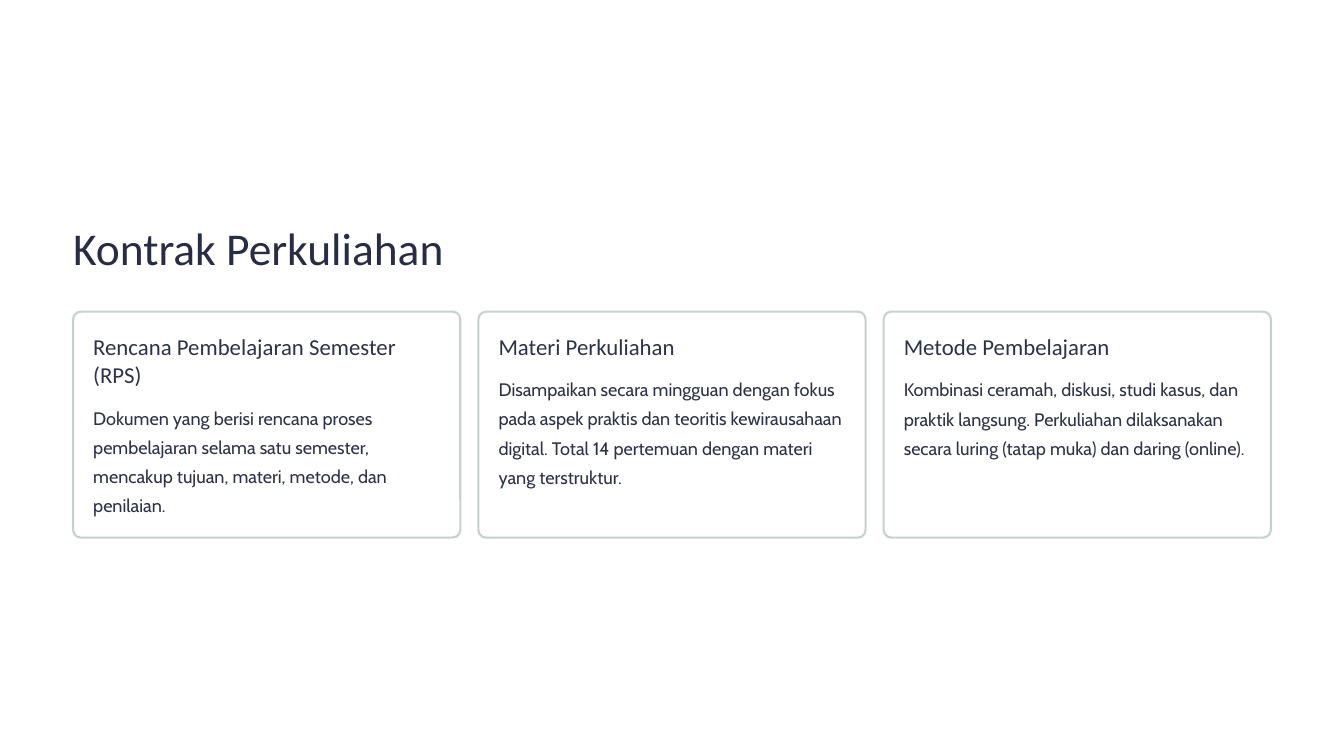
import pptx
import pptx.util
import pptx.dml.color
import pptx.enum.shapes
import pptx.enum.text

Inches, Pt = pptx.util.Inches, pptx.util.Pt

# Content: heading, heading lines, body
TITLE = "Kontrak Perkuliahan"
CARDS = [
    ("Rencana Pembelajaran Semester (RPS)", 2,
     "Dokumen yang berisi rencana proses pembelajaran selama satu semester, "
     "mencakup tujuan, materi, metode, dan penilaian."),
    ("Materi Perkuliahan", 1,
     "Disampaikan secara mingguan dengan fokus pada aspek praktis dan teoritis "
     "kewirausahaan digital. Total 14 pertemuan dengan materi yang terstruktur."),
    ("Metode Pembelajaran", 1,
     "Kombinasi ceramah, diskusi, studi kasus, dan praktik langsung. Perkuliahan "
     "dilaksanakan secara luring (tatap muka) dan daring (online)."),
]
COLORS = {"page": "FFFFFF", "title": "272D45", "text": "2C3249", "edge": "C5D2CF"}

# Layout in inches
LEFT, TOP, WIDTH, HEIGHT = 0.87, 3.71, 4.61, 2.69
STEP, PAD, LINE, GAP = 4.825, 0.24, 0.34, 0.13


def color(name):
    return pptx.dml.color.RGBColor.from_string(COLORS[name])


def add_text(slide, text, box, font, size, lead, tint, wrap=True):
    frame = slide.shapes.add_textbox(*map(Inches, box)).text_frame
    frame.margin_left = frame.margin_right = 0
    frame.margin_top = frame.margin_bottom = 0
    frame.vertical_anchor = pptx.enum.text.MSO_ANCHOR.TOP
    frame.word_wrap = wrap
    frame.text = text
    para = frame.paragraphs[0]
    para.line_spacing = Pt(lead)
    face = para.runs[0].font
    face.name, face.size = font, Pt(size)
    face.color.rgb = color(tint)


def add_card(slide, left, head, lines, body):
    # Frame
    card = slide.shapes.add_shape(
        pptx.enum.shapes.MSO_SHAPE.ROUNDED_RECTANGLE,
        *map(Inches, (left, TOP, WIDTH, HEIGHT)))
    card.adjustments[0] = 0.034
    card.shadow.inherit = False
    card.fill.solid()
    card.fill.fore_color.rgb = color("page")
    card.line.color.rgb = color("edge")
    card.line.width = Pt(1.8)
    # Heading and body
    x, y, wide = left + PAD, TOP + PAD, WIDTH - 2 * PAD
    tall = lines * LINE
    add_text(slide, head, (x, y, wide, tall), "Calibri", 19.5, 24, "text")
    add_text(slide, body, (x, y + tall + GAP, wide, 1.39),
             "Cabin", 15.5, 25, "text")


def main():
    deck = pptx.Presentation()
    deck.slide_width, deck.slide_height = Inches(16), Inches(9)
    slide = deck.slides.add_slide(deck.slide_layouts[6])
    slide.background.fill.solid()
    slide.background.fill.fore_color.rgb = color("page")

    # Title
    add_text(slide, TITLE, (LEFT, 2.6, 5.43, 0.68),
             "Calibri", 39, 48.5, "title", wrap=False)

    # Cards
    for i, card in enumerate(CARDS):
        add_card(slide, LEFT + i * STEP, *card)

    deck.save("out.pptx")


if __name__ == "__main__":
    main()
